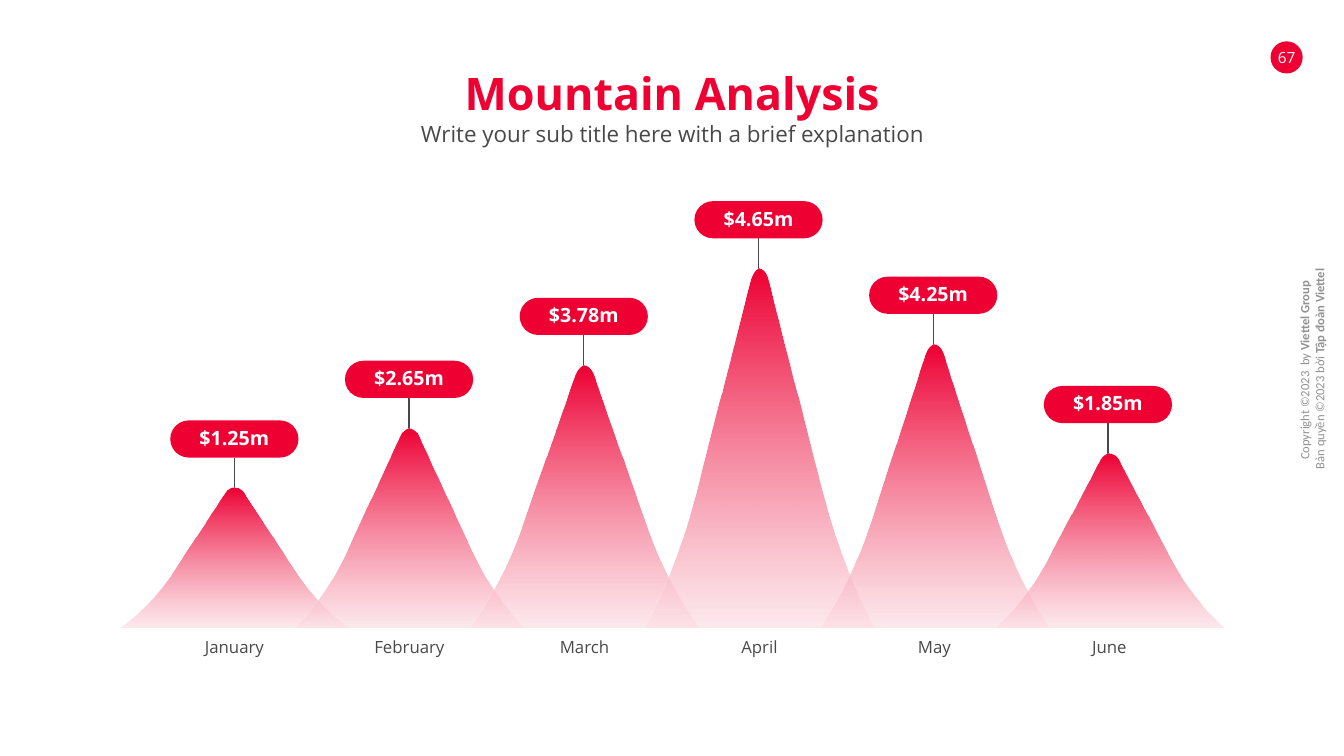
from dataclasses import dataclass

from lxml import etree
from pptx import Presentation
from pptx import util as u
from pptx.dml import color
from pptx.enum import shapes, text
from pptx.oxml import ns

RED, GREY, PALE, WHITE = "EE0033", "494949", "FDE0E6", "FFFFFF"
SANS = "Open Sans"
BASE = 448.2  # foot of every mountain
FIRST, PITCH = 167.5, 125  # middle of the first mountain, step between them
FLAG_X, FLAG_STEP = 167.4, 124.8  # the same for the value flags
FLAG_W, FLAG_H, RISE, STEM = 91.6, 26.6, 48.3, 23.8

# Right slope from peak to foot as a chain of Bezier knots:
# points from the middle, percent of the height.
SLOPE = [
    (0, 0),
    (1.9, 0), (3.7, 0.85), (5.4, 2.25),
    (5.9, 2.8), (6.4, 3.4), (6.8, 4),
    (9.6, 8.5), (29.5, 38.6), (45.5, 62.8),
    (61.3, 86.5), (82.4, 100), (82.4, 100),
]


@dataclass
class Month:
    name: str
    value: str
    peak: float


@dataclass
class Style:
    size: float
    hue: str
    bold: bool | None = None
    face: str = SANS


MONTHS = [
    Month("January", "$1.25m", 348.6),
    Month("February", "$2.65m", 306),
    Month("March", "$3.78m", 261),
    Month("April", "$4.65m", 192),
    Month("May", "$4.25m", 245.9),
    Month("June", "$1.85m", 324),
]
RIGHTS = [
    ("Copyright ©2023  by ", "Viettel Group "),
    ("Bản quyền ©2023 bởi ", "Tập đoàn Viettel"),
]


def rgb(code: str) -> color.RGBColor:
    return color.RGBColor.from_string(code)


def dress(para, style: Style) -> None:
    para.alignment = text.PP_ALIGN.CENTER
    font = para.font
    font.name, font.size, font.bold = style.face, u.Pt(style.size), style.bold
    font.color.rgb = rgb(style.hue)


def write(shape, words: str, style: Style, foot: float = 0) -> None:
    """Set one centred line in a shape, with only a bottom inset."""
    frame = shape.text_frame
    frame.margin_left = frame.margin_right = frame.margin_top = 0
    frame.margin_bottom = u.Pt(foot)
    frame.word_wrap = True
    frame.text = words
    dress(frame.paragraphs[0], style)


def label(slide, box: tuple, words: str, style: Style) -> None:
    write(slide.shapes.add_textbox(*map(u.Pt, box)), words, style)


def badge(slide, kind, box: tuple, words: str, style: Style, foot: float = 0):
    """Add a red shape with text in it."""
    shape = slide.shapes.add_shape(kind, *map(u.Pt, box))
    shape.shadow.inherit = False
    shape.fill.solid()
    shape.fill.fore_color.rgb = rgb(RED)
    shape.line.fill.background()
    write(shape, words, style, foot)
    shape.text_frame.vertical_anchor = text.MSO_ANCHOR.MIDDLE
    return shape


def flag(slide, mid: float, month: Month) -> None:
    """Add the value pill and the stem down to the peak."""
    top = month.peak - RISE
    box = (mid - FLAG_W / 2, top, FLAG_W, FLAG_H)
    pill = badge(slide, shapes.MSO_SHAPE.ROUNDED_RECTANGLE, box, month.value,
                 Style(14, WHITE, True), 2.2)
    pill.adjustments[0] = 0.5
    low = top + FLAG_H
    stem = slide.shapes.add_connector(
        shapes.MSO_CONNECTOR.STRAIGHT,
        *map(u.Pt, (mid, low, mid, low + STEM)))
    stem.begin_connect(pill, 2)
    stem.line.color.rgb = rgb(GREY)
    stem.line.width = u.Pt(1)
    etree.SubElement(stem._element.spPr, ns.qn("a:effectLst"))


def bend(shape) -> None:
    """Turn each three line segments of an outline into one Bezier curve."""
    trace = shape._element.spPr.find(".//" + ns.qn("a:path"))
    lines = trace.findall(ns.qn("a:lnTo"))
    for i in range(0, len(lines), 3):
        arc = etree.Element(ns.qn("a:cubicBezTo"))
        lines[i].addprevious(arc)
        for line in lines[i:i + 3]:
            arc.append(line[0])
            trace.remove(line)


def mountain(slide, mid: float, peak: float) -> None:
    left = [(-x, y) for x, y in reversed(SLOPE)]
    spots = [(u.Pt(mid + x), u.Pt(peak + y / 100 * (BASE - peak)))
             for x, y in left + SLOPE[1:]]
    form = slide.shapes.build_freeform(*spots[0])
    form.add_line_segments(spots[1:])
    shape = form.convert_to_shape()
    bend(shape)
    shape.shadow.inherit = False
    shape.line.fill.background()
    shape.fill.gradient()
    shape.fill.gradient_angle = 270
    for stop, hue in zip(shape.fill.gradient_stops, (RED, PALE)):
        stop.color.rgb = rgb(hue)
    last = shape._element.spPr.findall(".//" + ns.qn("a:srgbClr"))[-1]
    etree.SubElement(last, ns.qn("a:alpha")).set("val", "70000")


def rights(slide) -> None:
    """Add the copyright lines that run up the right edge."""
    box = slide.shapes.add_textbox(*map(u.Pt, (771.1, 249.1, 332, 28.8)))
    box.rotation = 270
    frame = box.text_frame
    frame.word_wrap = True
    for row, (plain, strong) in enumerate(RIGHTS):
        para = frame.add_paragraph() if row else frame.paragraphs[0]
        para.add_run().text = plain
        run = para.add_run()
        run.text = strong
        run.font.bold = True
        dress(para, Style(9, "929292", face="Calibri"))


def main() -> None:
    deck = Presentation()
    deck.slide_width, deck.slide_height = u.Pt(960), u.Pt(540)
    slide = deck.slides.add_slide(deck.slide_layouts[6])
    rights(slide)
    badge(slide, shapes.MSO_SHAPE.OVAL, (907.5, 29.5, 23, 23), "67",
          Style(11, WHITE))
    for i, month in enumerate(MONTHS):
        flag(slide, FLAG_X + i * FLAG_STEP, month)
    for i, month in enumerate(MONTHS):
        mountain(slide, FIRST + i * PITCH, month.peak)
    label(slide, (52.6, 46.8, 855.4, 38.9), "Mountain Analysis",
          Style(32, RED, True))
    label(slide, (52.6, 85.7, 855.4, 19.4),
          "Write your sub title here with a brief explanation",
          Style(16, GREY))
    for i, month in enumerate(MONTHS):
        label(slide, (FIRST + i * PITCH - 58.7, 455, 117.4, 14.4), month.name,
              Style(12, GREY))
    deck.save("out.pptx")


if __name__ == "__main__":
    main()
